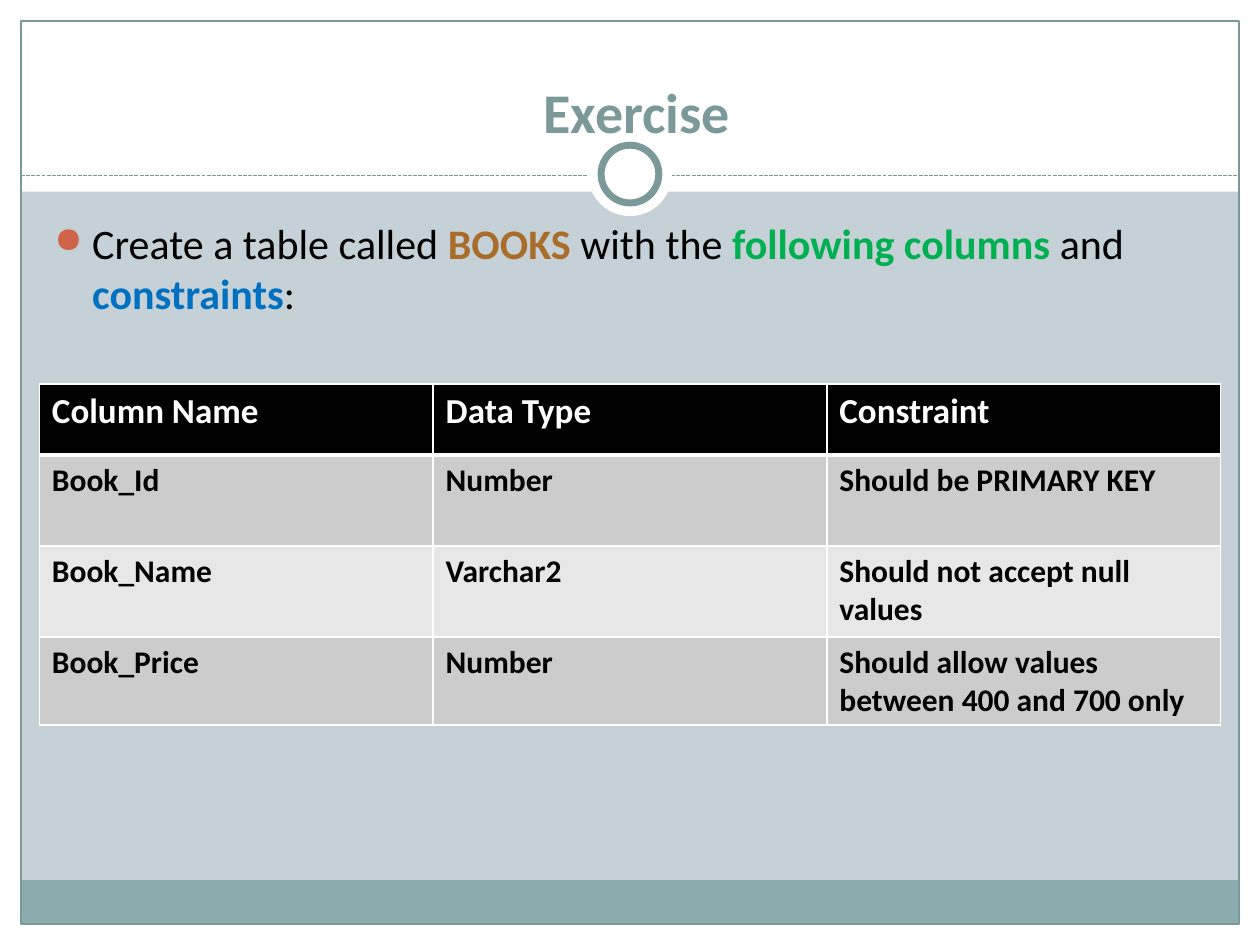
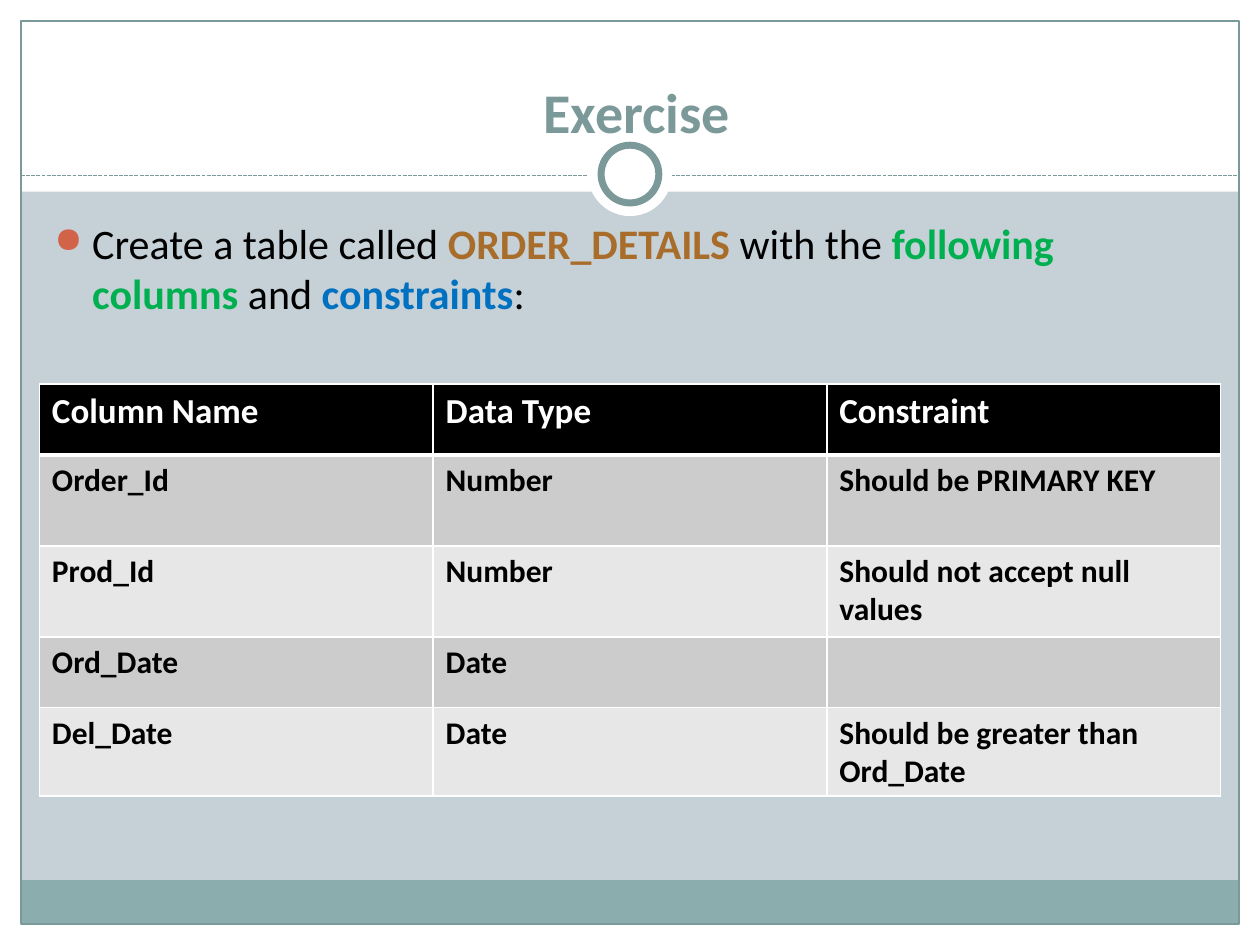
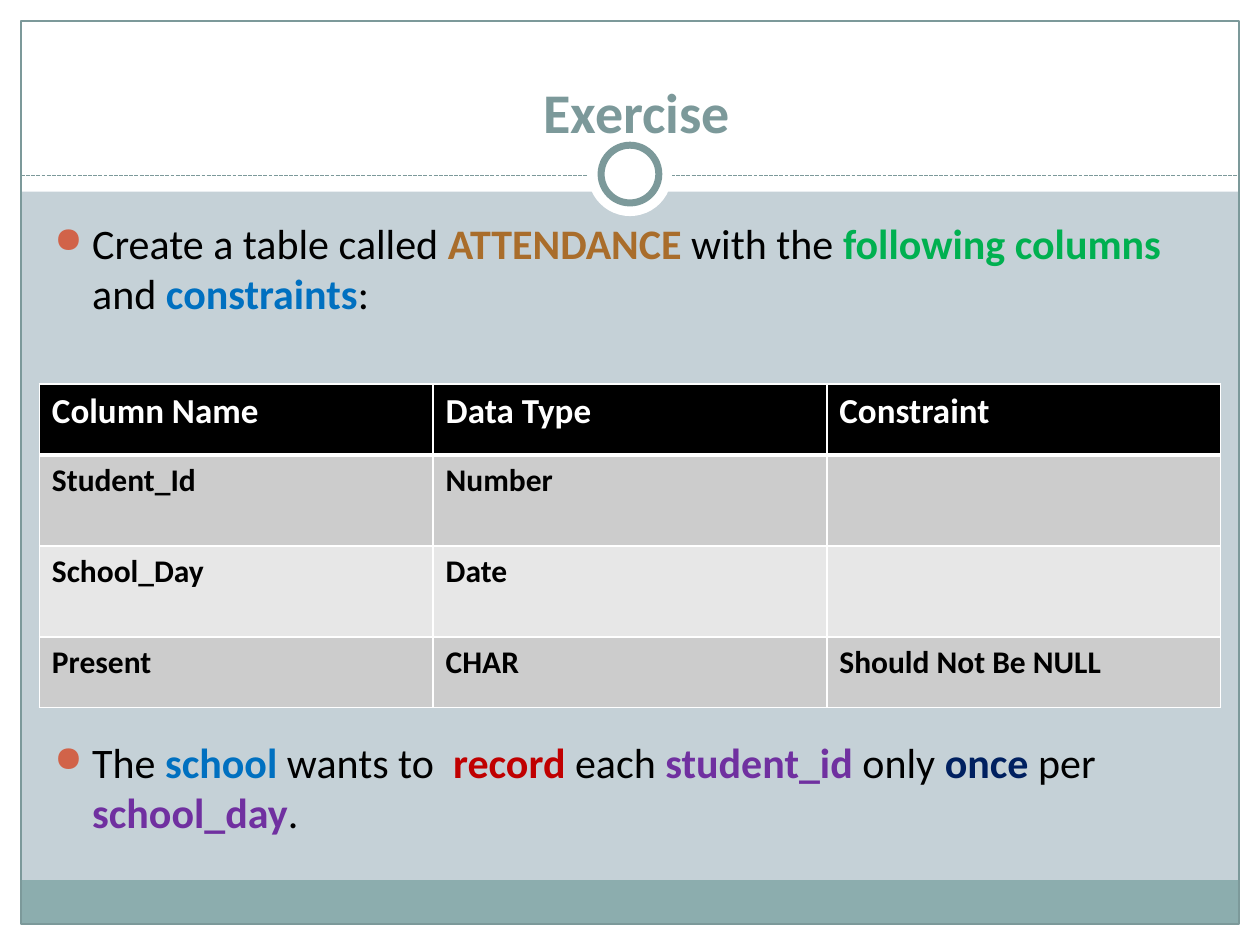
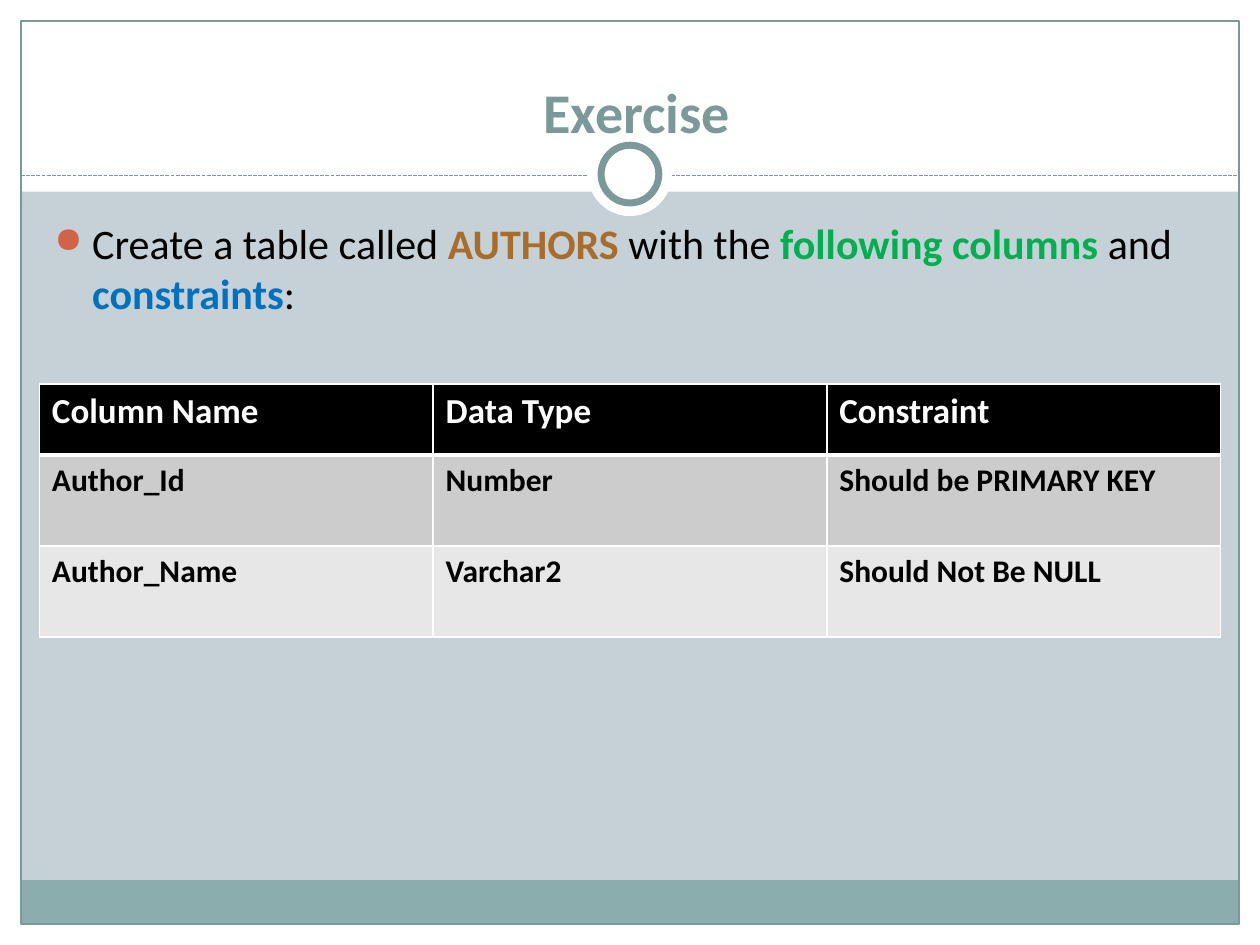
from lxml import etree
from pptx import Presentation
from pptx import util as u
from pptx.dml import color
from pptx.enum import dml, shapes, text
from pptx.oxml import ns

FONT = "Calibri"
WHITE, BLACK, TEAL, BAND, BACK = "FFFFFF", "000000", "7C999A", "8CADAE", "C5D1D7"
BULLET, BROWN, GREEN, BLUE = "D16349", "A96D2B", "00B050", "0070C0"
RED, PURPLE, NAVY = "C00000", "7030A0", "002060"
STRIPES = ("CCCCCC", "E7E7E7")
RECT, OVAL = shapes.MSO_SHAPE.RECTANGLE, shapes.MSO_SHAPE.OVAL
HEADINGS = ("Column Name", "Data Type", "Constraint")
WIDTH, HEIGHT, EDGE = 720, 540, 12


def rgb(value):
    return color.RGBColor.from_string(value)


def apply(target, values):
    for name, value in values.items():
        setattr(target, name, value)


def sub(parent, tag, **attrs):
    return etree.SubElement(parent, ns.qn(tag), attrs)


class Deck:
    def __init__(self):
        self.prs = Presentation()
        apply(self.prs, {"slide_width": u.Pt(WIDTH), "slide_height": u.Pt(HEIGHT)})

    def new_slide(self):
        self.s = self.prs.slides.add_slide(self.prs.slide_layouts[6])
        fill = self.s.background.fill
        fill.solid()
        fill.fore_color.rgb = rgb(BACK)

    def shape(self, kind, box, fill=None, line=None, weight=0.75):
        sp = self.s.shapes.add_shape(kind, *map(u.Pt, box))
        sp.shadow.inherit = False
        if fill:
            sp.fill.solid()
            sp.fill.fore_color.rgb = rgb(fill)
        else:
            sp.fill.background()
        if line:
            sp.line.color.rgb = rgb(line)
            sp.line.width = u.Pt(weight)
        else:
            sp.line.fill.background()

    def dashed_rule(self, x1, x2, y):
        cn = self.s.shapes.add_connector(
            shapes.MSO_CONNECTOR.STRAIGHT, *map(u.Pt, (x1, y, x2, y)))
        cn.line.color.rgb = rgb(TEAL)
        apply(cn.line, {"width": u.Pt(0.75),
                        "dash_style": dml.MSO_LINE_DASH_STYLE.SQUARE_DOT})
        sub(cn.element.spPr, "a:effectLst")

    def frame(self):
        inner = WIDTH - 2 * EDGE
        for box in ((0, HEIGHT - EDGE, WIDTH, EDGE), (0, 0, WIDTH, 109.5),
                    (0, 0, EDGE, HEIGHT), (WIDTH - EDGE, 0, EDGE, HEIGHT)):
            self.shape(RECT, box, WHITE)
        self.shape(RECT, (EDGE, 503, inner, 25), BAND)
        self.shape(RECT, (EDGE, EDGE, inner, HEIGHT - 2 * EDGE), line=TEAL)
        self.dashed_rule(EDGE, WIDTH - EDGE, 100.5)
        for size, line in ((48, None), (33, TEAL)):
            box = (WIDTH - size) / 2, 99.5 - size / 2, size, size
            self.shape(OVAL, box, WHITE, line, 4)

    def text_box(self, box, **values):
        tf = self.s.shapes.add_textbox(*map(u.Pt, box)).text_frame
        apply(tf, {"word_wrap": True, **values})
        return tf

    def run(self, p, words, size, colour=BLACK, bold=False):
        r = p.add_run()
        r.text = words
        apply(r.font, {"name": FONT, "size": u.Pt(size), "bold": bold})
        r.font.color.rgb = rgb(colour)

    def title(self, words):
        tf = self.text_box((28, 22.5, 672, 60), margin_bottom=0,
                           vertical_anchor=text.MSO_ANCHOR.BOTTOM)
        p = tf.paragraphs[0]
        p.alignment = text.PP_ALIGN.CENTER
        self.run(p, words, 32, TEAL, True)

    def bullets(self, items, gap=239):
        tf = self.text_box((24, 120.5, 669.5, 382))
        for i, runs in enumerate(items):
            p = tf.add_paragraph() if i else tf.paragraphs[0]
            pPr = p._p.get_or_add_pPr()
            pPr.set("marL", str(u.Pt(21.6)))
            pPr.set("indent", str(u.Pt(-21.6)))
            sub(sub(pPr, "a:buClr"), "a:srgbClr", val=BULLET)
            sub(pPr, "a:buSzPct", val="85000")
            sub(pPr, "a:buChar", char="●")
            p.space_before = u.Pt(gap if i else 0)
            for words, colour in runs:
                self.run(p, words, 24, colour, colour != BLACK)

    def borders(self, cell, top, bottom):
        tcPr = cell._tc.get_or_add_tcPr()
        sides = {"L": 1, "R": 1, "T": top, "B": bottom}
        for i, (side, weight) in enumerate(sides.items()):
            ln = etree.Element(ns.qn(f"a:ln{side}"), w=str(u.Pt(weight)))
            sub(sub(ln, "a:solidFill"), "a:srgbClr", val=WHITE)
            tcPr.insert(i, ln)

    def table(self, rows):
        heights = [40.5, 52, 52] + [40.5] * (len(rows) - 2)
        box = 22.5, 219.5, 675, sum(heights)
        tbl = self.s.shapes.add_table(
            len(rows) + 1, len(HEADINGS), *map(u.Pt, box)).table
        for col in tbl.columns:
            col.width = u.Pt(675 / len(HEADINGS))
        for i, values in enumerate([HEADINGS, *rows]):
            tbl.rows[i].height = u.Pt(heights[i])
            fill = STRIPES[(i - 1) % 2] if i else BLACK
            size, colour = (18, BLACK) if i else (20, WHITE)
            for j, words in enumerate(values):
                cell = tbl.cell(i, j)
                cell.fill.solid()
                cell.fill.fore_color.rgb = rgb(fill)
                self.borders(cell, 3 if i == 1 else 1, 1 if i else 3)
                p = cell.text_frame.paragraphs[0]
                if words:
                    self.run(p, words, size, colour, True)
                else:
                    p.font.size = u.Pt(size)

    def exercise(self, name, rows, notes=()):
        self.new_slide()
        self.frame()
        self.title("Exercise")
        task = (("Create a table called ", BLACK), (name, BROWN),
                (" with the ", BLACK), ("following columns ", GREEN),
                ("and ", BLACK), ("constraints", BLUE), (":", BLACK))
        self.bullets([task, *notes])
        self.table(rows)


ATTENDANCE_NOTE = (
    ("The ", BLACK), ("school", BLUE), (" wants to  ", BLACK), ("record", RED),
    (" each ", BLACK), ("student_id", PURPLE), (" only ", BLACK),
    ("once ", NAVY), ("per ", BLACK), ("school_day", PURPLE), (".", BLACK))

EXERCISES = (
    ("BOOKS", (
        ("Book_Id", "Number", "Should be PRIMARY KEY"),
        ("Book_Name", "Varchar2", "Should not accept null values"),
        ("Book_Price", "Number", "Should allow values between 400 and 700 only"))),
    ("ORDER_DETAILS", (
        ("Order_Id", "Number", "Should be PRIMARY KEY"),
        ("Prod_Id", "Number", "Should not accept null values"),
        ("Ord_Date", "Date", ""),
        ("Del_Date", "Date", "Should be greater than Ord_Date"))),
    ("ATTENDANCE", (
        ("Student_Id", "Number", ""),
        ("School_Day", "Date", ""),
        ("Present", "CHAR", "Should Not Be NULL")), (ATTENDANCE_NOTE,)),
    ("AUTHORS", (
        ("Author_Id", "Number", "Should be PRIMARY KEY"),
        ("Author_Name", "Varchar2", "Should Not Be NULL"))),
)


def main():
    deck = Deck()
    for exercise in EXERCISES:
        deck.exercise(*exercise)
    deck.prs.save("out.pptx")


if __name__ == "__main__":
    main()
